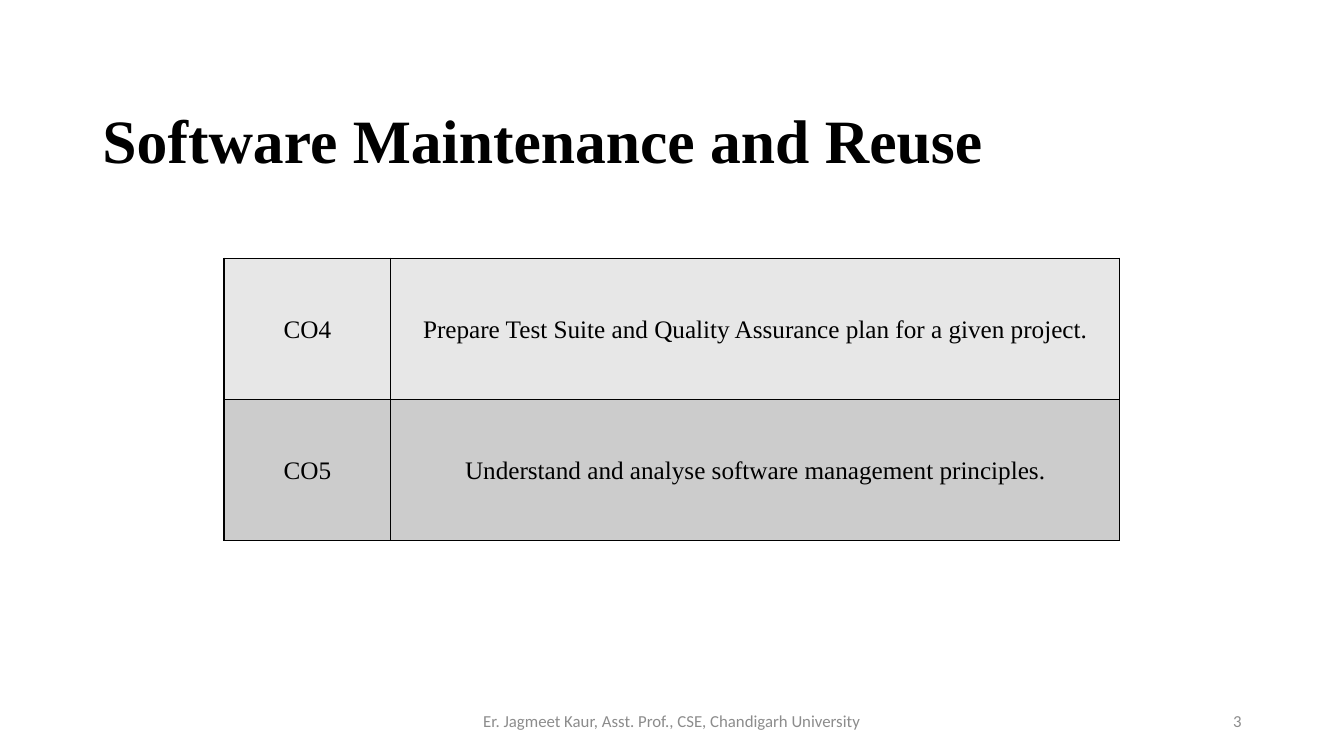
"""Build the course outcome slide on software maintenance and reuse."""
import dataclasses

import lxml.etree
import pptx
import pptx.dml.color
import pptx.enum.text
import pptx.oxml.ns
import pptx.util

Pt = pptx.util.Pt
Align = pptx.enum.text.PP_ALIGN
Anchor = pptx.enum.text.MSO_ANCHOR


@dataclasses.dataclass(frozen=True)
class Theme:
    heading_font: str = "Times New Roman"
    footer_font: str = "Calibri"
    ink: str = "000000"
    muted: str = "8C8C8C"
    row_fills: tuple = ("E7E7E7", "CCCCCC")
    title_size: float = 44
    table_size: float = 18
    footer_size: float = 12
    border_width: float = 1


def rgb(value):
    return pptx.dml.color.RGBColor.from_string(value)


class SlideBuilder:
    def __init__(self, slide, theme):
        self.slide = slide
        self.theme = theme

    def format_text(self, frame, font, size, color, align, bold=False):
        for paragraph in frame.paragraphs:
            paragraph.alignment = align
            for run in paragraph.runs:
                run.font.name = font
                run.font.size = Pt(size)
                run.font.bold = bold
                run.font.color.rgb = rgb(color)

    def title(self, wording, left, top, width, height):
        heading = self.slide.shapes.title
        heading.left, heading.top = Pt(left), Pt(top)
        heading.width, heading.height = Pt(width), Pt(height)
        frame = heading.text_frame
        frame.text = wording
        frame.auto_size = pptx.enum.text.MSO_AUTO_SIZE.NONE
        frame.vertical_anchor = Anchor.MIDDLE
        frame.paragraphs[0].line_spacing = 0.9
        self.format_text(frame, self.theme.heading_font, self.theme.title_size,
                         self.theme.ink, Align.LEFT, bold=True)

    def footer(self, wording, left, width, align):
        note = self.slide.shapes.add_textbox(Pt(left), Pt(500.5), Pt(width), Pt(28.75))
        frame = note.text_frame
        frame.word_wrap = True
        frame.vertical_anchor = Anchor.MIDDLE
        frame.text = wording
        self.format_text(frame, self.theme.footer_font, self.theme.footer_size,
                         self.theme.muted, align)

    def border(self, cell):
        properties = cell._tc.get_or_add_tcPr()
        qn = pptx.oxml.ns.qn
        for side in ("a:lnL", "a:lnR", "a:lnT", "a:lnB"):
            line = lxml.etree.SubElement(properties, qn(side),
                                         w=str(Pt(self.theme.border_width)))
            fill = lxml.etree.SubElement(line, qn("a:solidFill"))
            lxml.etree.SubElement(fill, qn("a:srgbClr"), val=self.theme.ink)

    def table(self, rows, left, top, column_widths, row_height):
        frame = self.slide.shapes.add_table(
            len(rows), len(column_widths), Pt(left), Pt(top),
            Pt(sum(column_widths)), Pt(row_height * len(rows)))
        grid = frame.table
        grid.first_row = grid.horz_banding = False
        for column, width in zip(grid.columns, column_widths):
            column.width = Pt(width)
        for row, wordings, fill in zip(grid.rows, rows, self.theme.row_fills):
            row.height = Pt(row_height)
            for cell, wording in zip(row.cells, wordings):
                self.border(cell)
                cell.fill.solid()
                cell.fill.fore_color.rgb = rgb(fill)
                cell.margin_left = cell.margin_right = Pt(5)
                cell.margin_top = cell.margin_bottom = 0
                cell.vertical_anchor = Anchor.MIDDLE
                cell.text_frame.text = wording
                paragraph = cell.text_frame.paragraphs[0]
                paragraph.line_spacing = 1.07
                paragraph.space_after = Pt(8)
                self.format_text(cell.text_frame, self.theme.heading_font,
                                 self.theme.table_size, self.theme.ink, Align.CENTER)


def main():
    deck = pptx.Presentation()
    deck.slide_width, deck.slide_height = Pt(960), Pt(540)
    builder = SlideBuilder(deck.slides.add_slide(deck.slide_layouts[5]), Theme())

    builder.title("Software Maintenance and Reuse", 66, 72, 828, 61)
    outcomes = [
        ("CO4", "Prepare Test Suite and Quality Assurance plan for a given project."),
        ("CO5", "Understand and analyse software management principles."),
    ]
    builder.table(outcomes, 160, 184.5, (119.25, 520.75), 100.75)
    builder.footer("Er. Jagmeet Kaur, Asst. Prof., CSE, Chandigarh University",
                   318, 324, Align.CENTER)
    builder.footer("3", 678, 216, Align.RIGHT)

    deck.save("out.pptx")


if __name__ == "__main__":
    main()
